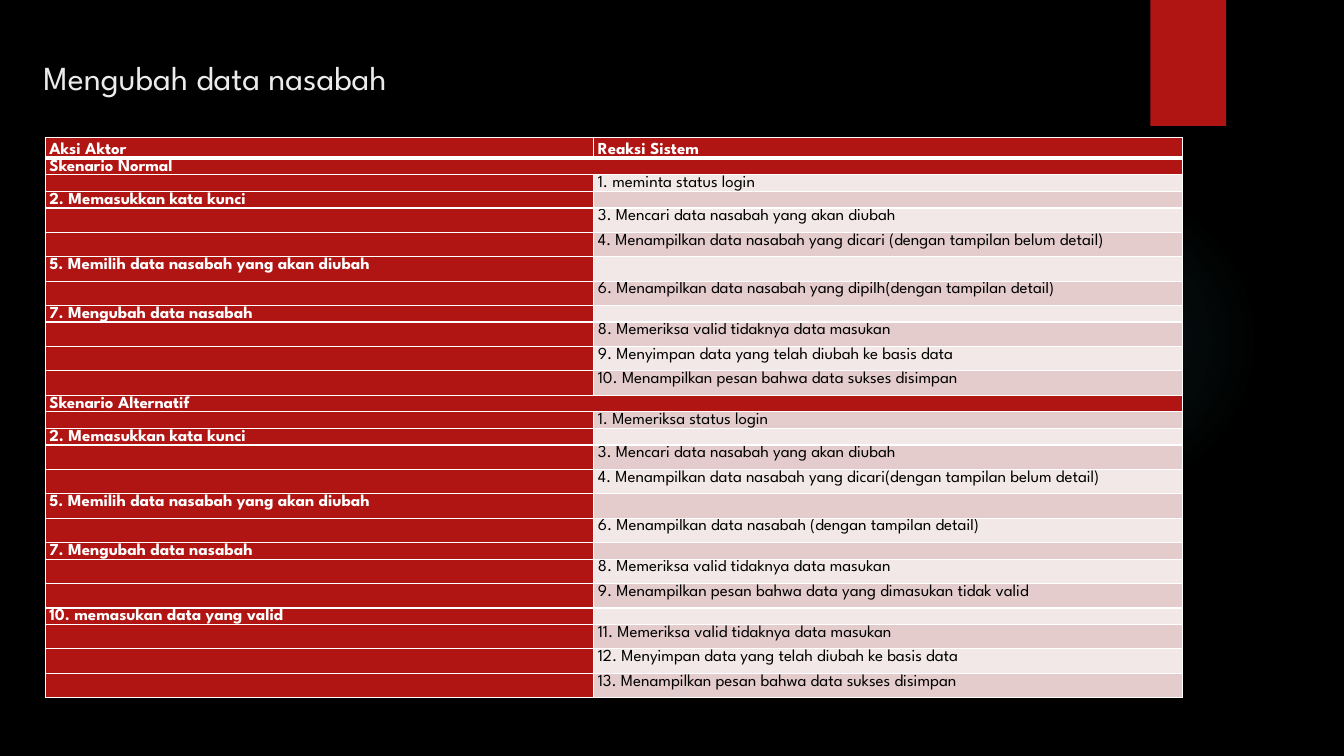
"""Builds the slide on changing customer data, with its scenario table."""
from lxml import etree
from pptx import Presentation
from pptx.dml.color import RGBColor
from pptx.enum import shapes, text
from pptx.oxml import parse_xml
from pptx.oxml.ns import nsdecls, qn
from pptx.util import Pt

FONT = "League Spartan"
RED, WHITE, BLACK = "B01513", "FFFFFF", "000000"
BANDS = ["F2E8E7", "E4CCCC"]
HEAD, LOW, HIGH = 14.7, 11.8, 17.45
ROWS = [
    ("head", HEAD, "Aksi Aktor"),
    ("part", LOW, "Skenario Normal"),
    ("system", LOW, "1. meminta status login"),
    ("actor", LOW, "2. Memasukkan kata kunci"),
    ("system", HIGH, "3. Mencari data nasabah yang akan diubah"),
    ("system", HIGH, "4. Menampilkan data nasabah yang dicari (dengan tampilan belum detail)"),
    ("actor", HIGH, "5. Memilih data nasabah yang akan diubah"),
    ("system", HIGH, "6. Menampilkan data nasabah yang dipilh(dengan tampilan detail)"),
    ("actor", LOW, "7. Mengubah data nasabah"),
    ("system", HIGH, "8. Memeriksa valid tidaknya data masukan"),
    ("system", HIGH, "9. Menyimpan data yang telah diubah ke basis data"),
    ("system", HIGH, "10. Menampilkan pesan bahwa data sukses disimpan"),
    ("part", LOW, "Skenario Alternatif"),
    ("system", LOW, "1. Memeriksa status login"),
    ("actor", LOW, "2. Memasukkan kata kunci"),
    ("system", HIGH, "3. Mencari data nasabah yang akan diubah"),
    ("system", HIGH, "4. Menampilkan data nasabah yang dicari(dengan tampilan belum detail)"),
    ("actor", HIGH, "5. Memilih data nasabah yang akan diubah"),
    ("system", HIGH, "6. Menampilkan data nasabah (dengan tampilan detail)"),
    ("actor", LOW, "7. Mengubah data nasabah"),
    ("system", HIGH, "8. Memeriksa valid tidaknya data masukan"),
    ("system", HIGH, "9. Menampilkan pesan bahwa data yang dimasukan tidak valid"),
    ("actor", LOW, "10. memasukan data yang valid"),
    ("system", HIGH, "11. Memeriksa valid tidaknya data masukan"),
    ("system", HIGH, "12. Menyimpan data yang telah diubah ke basis data"),
    ("system", HIGH, "13. Menampilkan pesan bahwa data sukses disimpan"),
]


def paint(fill, color):
    fill.solid()
    fill.fore_color.rgb = RGBColor.from_string(color)


def style(font, size, color, bold):
    font.name, font.size, font.bold = FONT, Pt(size), bold
    font.color.rgb = RGBColor.from_string(color)


prs = Presentation()
prs.slide_width, prs.slide_height = Pt(960), Pt(540)
slide = prs.slides.add_slide(prs.slide_layouts[5])
paint(slide.background.fill, BLACK)

glow = slide.shapes.add_shape(
    shapes.MSO_SHAPE.OVAL, Pt(677.5), Pt(131.8), Pt(221.8), Pt(221.8))
glow.shadow.inherit = False
glow.line.fill.background()
stops = "".join(
    f'<a:gs pos="{pos}000"><a:srgbClr val="50B9C1"><a:alpha val="{alpha}000"/>'
    "</a:srgbClr></a:gs>" for pos, alpha in [(0, 7), (36, 6), (69, 0), (100, 0)])
glow.element.spPr.find(qn("a:prstGeom")).addnext(parse_xml(
    f'<a:gradFill {nsdecls("a")}><a:gsLst>{stops}</a:gsLst><a:path path="circle">'
    '<a:fillToRect l="50000" t="50000" r="50000" b="50000"/></a:path></a:gradFill>'))

flag = slide.shapes.add_shape(
    shapes.MSO_SHAPE.RECTANGLE, Pt(821.8), Pt(0), Pt(54), Pt(90))
flag.shadow.inherit = False
flag.line.fill.background()
paint(flag.fill, RED)

title = slide.shapes.title
title.left, title.top, title.width, title.height = Pt(23.8), Pt(30.2), Pt(756.7), Pt(85)
frame = title.text_frame
frame.text = "Mengubah data nasabah"
frame.vertical_anchor = text.MSO_ANCHOR.TOP
frame.margin_top = Pt(10.8)
frame.paragraphs[0].alignment = text.PP_ALIGN.LEFT
style(frame.paragraphs[0].runs[0].font, 24, "EBEBEB", False)

table = slide.shapes.add_table(
    len(ROWS), 2, Pt(32.4), Pt(98.3), Pt(812.3), Pt(400)).table
table.first_row = table.horz_banding = False
table.columns[0].width, table.columns[1].width = Pt(391.8), Pt(420.5)

for r, (kind, height, words) in enumerate(ROWS):
    table.rows[r].height = Pt(height)
    pair = ["", words] if kind == "system" else [words, ""]
    if kind == "head":
        pair[1] = "Reaksi Sistem"
    for c, label in enumerate(pair):
        cell = table.cell(r, c)
        cell.margin_left = cell.margin_right = Pt(2.9)
        cell.margin_top = cell.margin_bottom = 0
        strong = c == 0 or kind in ("head", "part")
        cell.text_frame.text = label
        para = cell.text_frame.paragraphs[0]
        para.line_spacing = Pt(HEAD) if kind == "head" else 1.07
        if label:
            style(para.runs[0].font, 12, WHITE if strong else BLACK, strong)
        else:
            etree.SubElement(para._p, qn("a:endParaRPr"), sz="800")
        props = cell._tc.get_or_add_tcPr()
        for side in ("lnL", "lnR", "lnT", "lnB"):
            thick = (kind == "head" and side == "lnB") or (r == 1 and side == "lnT")
            line = etree.SubElement(props, qn(f"a:{side}"), w=str(Pt(3 if thick else 1)))
            solid = etree.SubElement(line, qn("a:solidFill"))
            etree.SubElement(solid, qn("a:srgbClr"), val=WHITE)
        paint(cell.fill, RED if strong else BANDS[r % 2])
    if kind == "part":
        table.cell(r, 0).merge(table.cell(r, 1))

prs.save("out.pptx")
